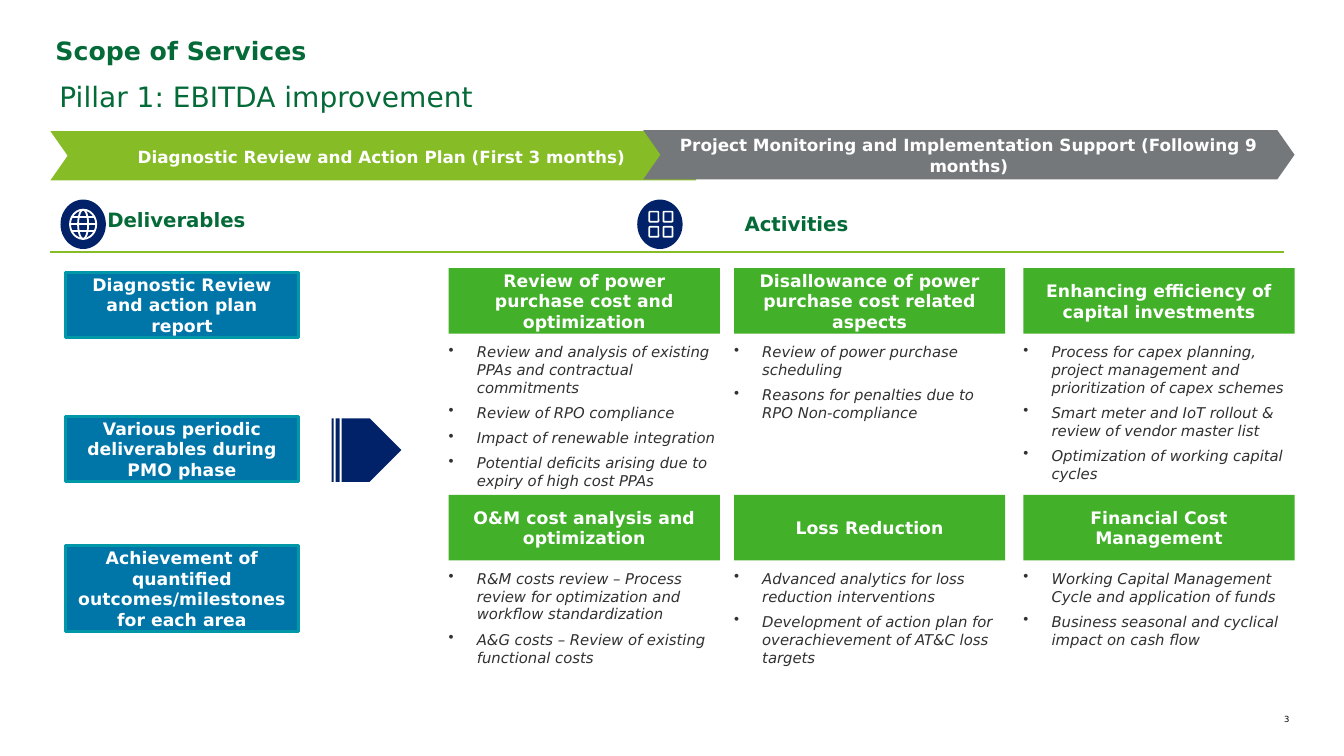
from lxml.etree import SubElement
from pptx import Presentation
from pptx.dml.color import RGBColor
from pptx.enum.shapes import MSO_CONNECTOR as LINK, MSO_SHAPE as SHAPE
from pptx.enum.text import MSO_ANCHOR as ANCHOR, PP_ALIGN as ALIGN
from pptx.oxml.ns import qn
from pptx.util import Inches, Pt

FONT = "DejaVu Sans"
WHITE = RGBColor(0xFF, 0xFF, 0xFF)
BLACK = RGBColor(0x00, 0x00, 0x00)
INK = RGBColor(0x31, 0x31, 0x31)
FOREST = RGBColor(0x04, 0x6A, 0x38)
LIME = RGBColor(0x86, 0xBC, 0x25)
GREEN = RGBColor(0x43, 0xB0, 0x2A)
GREY = RGBColor(0x75, 0x78, 0x7B)
BLUE = RGBColor(0x00, 0x76, 0xA8)
TEAL = RGBColor(0x00, 0x97, 0xA9)
NAVY = RGBColor(0x01, 0x21, 0x69)

deck = Presentation()
deck.slide_width, deck.slide_height = Inches(13.33), Inches(7.5)
slide = deck.slides.add_slide(deck.slide_layouts[6])
shapes = slide.shapes


def draw(kind, area, fill=None, line=None, width=1):
    """Add a preset shape, or a text box when kind is None."""
    area = [Inches(n) for n in area]
    if kind is None:
        return shapes.add_textbox(*area)
    shape = shapes.add_shape(kind, *area)
    shape.shadow.inherit = False
    if fill is None:
        shape.fill.background()
    else:
        shape.fill.solid()
        shape.fill.fore_color.rgb = fill
    if line is None:
        shape.line.fill.background()
    else:
        shape.line.color.rgb = line
        shape.line.width = Pt(width)
    return shape


def write(shape, text, size, color, bold=False, italic=False, align=ALIGN.CENTER,
          anchor=ANCHOR.MIDDLE, pad=(0, 0), space=None):
    frame = shape.text_frame
    frame.text = text
    frame.word_wrap = True
    frame.vertical_anchor = anchor
    frame.margin_left = frame.margin_right = Inches(pad[0])
    frame.margin_top = frame.margin_bottom = Inches(pad[1])
    for para in frame.paragraphs:
        para.alignment = align
        para.line_spacing = space
        for run in para.runs:
            font = run.font
            font.name, font.size = FONT, Pt(size)
            font.bold, font.italic = bold, italic
            font.color.rgb = color
    return frame


# Titles and page number
write(draw(None, (0.55, 0.35, 12.21, 0.37)), "Scope of Services", 18, FOREST,
      bold=True, align=ALIGN.LEFT, anchor=ANCHOR.TOP)
write(draw(None, (0.55, 0.75, 9.16, 0.42)), "Pillar 1: EBITDA improvement", 20, FOREST,
      align=ALIGN.JUSTIFY, anchor=ANCHOR.TOP, pad=(0.04, 0.04))
write(draw(None, (12.45, 7.08, 0.34, 0.11)), "3", 6, BLACK,
      align=ALIGN.RIGHT, anchor=ANCHOR.TOP)

# Phase chevrons
for area, fill, text in [
    ((0.5, 1.3, 6.57, 0.49), LIME, "Diagnostic Review and Action Plan (First 3 months)"),
    ((6.38, 1.29, 6.46, 0.49), GREY,
     "Project Monitoring and Implementation Support (Following 9 months)"),
]:
    phase = draw(SHAPE.CHEVRON, area, fill)
    phase.adjustments[0] = 0.35
    write(phase, text, 12, WHITE, bold=True, pad=(0.07, 0.07), space=1.06)

# Section headings
for area, text in [((0.92, 1.98, 1.66, 0.39), "Deliverables"),
                   ((6.52, 1.98, 2.76, 0.47), "Activities")]:
    write(draw(None, area), text, 14.1, FOREST, bold=True, pad=(0.11, 0.11), space=1.06)

# Globe icon
draw(SHAPE.OVAL, (0.6, 1.98, 0.45, 0.49), NAVY)
for half in (0.13, 0.05):
    draw(SHAPE.OVAL, (0.825 - half, 2.08, 2 * half, 0.29), line=WHITE, width=1.3)

# Grid icon
draw(SHAPE.OVAL, (6.32, 1.98, 0.45, 0.49), NAVY)
for left in (6.44, 6.58):
    for top in (2.1, 2.25):
        tile = draw(SHAPE.ROUNDED_RECTANGLE, (left, top, 0.09, 0.1), line=WHITE, width=1.2)
        tile.adjustments[0] = 0.08

# Globe parallels and heading rule
for left, right, y, color, width in [
    (0.71, 0.94, 2.15, WHITE, 1.3),
    (0.69, 0.96, 2.22, WHITE, 1.3),
    (0.71, 0.94, 2.29, WHITE, 1.3),
    (0.5, 12.73, 2.5, LIME, 0.75),
]:
    rule = shapes.add_connector(LINK.STRAIGHT, Inches(left), Inches(y), Inches(right), Inches(y))
    rule.line.color.rgb = color
    rule.line.width = Pt(width)
    SubElement(rule._element.spPr, qn("a:effectLst"))

# Deliverables
for top, high, pad, text in [
    (2.7, 0.65, 0.11, "Diagnostic Review and action plan report"),
    (4.13, 0.65, 0.11, "Various periodic deliverables during PMO phase"),
    (5.41, 0.86, 0, "Achievement of quantified outcomes/milestones for each area"),
]:
    card = draw(SHAPE.RECTANGLE, (0.65, top, 2.31, high), BLUE, TEAL, 2)
    write(card, text, 12.3, WHITE, bold=True, pad=(pad, 0.06))

arrow = draw(SHAPE.STRIPED_RIGHT_ARROW, (3.29, 4.15, 0.69, 0.63), NAVY)
arrow.adjustments[0], arrow.adjustments[1] = 1, 0.5

# Activities: two rows of three
lefts = (4.45, 7.28, 10.15)
rows = [
    (2.66, 1.46, [
        ("Review of power purchase cost and optimization",
         ["Review and analysis of existing PPAs and contractual commitments",
          "Review of RPO compliance",
          "Impact of renewable integration",
          "Potential deficits arising due to expiry of high cost PPAs"]),
        ("Disallowance of power purchase cost related aspects",
         ["Review of power purchase scheduling",
          "Reasons for penalties due to RPO Non-compliance"]),
        ("Enhancing efficiency of capital investments",
         ["Process for capex planning, project management and prioritization of capex schemes",
          "Smart meter and IoT rollout & review of vendor master list",
          "Optimization of working capital cycles"]),
    ]),
    (4.91, 0.96, [
        ("O&M cost analysis and optimization",
         ["R&M costs review – Process review for optimization and workflow standardization",
          "A&G costs – Review of existing functional costs"]),
        ("Loss Reduction",
         ["Advanced analytics for loss reduction interventions",
          "Development of action plan for overachievement of AT&C loss targets"]),
        ("Financial Cost Management",
         ["Working Capital Management Cycle and application of funds",
          "Business seasonal and cyclical impact on cash flow"]),
    ]),
]
for top, high, cells in rows:
    for left, (head, points) in zip(lefts, cells):
        write(draw(SHAPE.RECTANGLE, (left, top, 2.69, 0.65), GREEN), head, 12.3, WHITE,
              bold=True, pad=(0.11, 0.06))
        frame = write(draw(None, (left, top + 0.74, 2.68, high)), "\n".join(points), 10.6, INK,
                      italic=True, align=ALIGN.LEFT, anchor=ANCHOR.TOP)
        for i, para in enumerate(frame.paragraphs):
            props = para._p.get_or_add_pPr()
            props.set("marL", str(Inches(0.28)))
            props.set("indent", str(-Inches(0.28)))
            SubElement(props, qn("a:buChar")).set("char", "•")
            if i:
                para.space_before = Pt(5.3)

deck.save("out.pptx")
